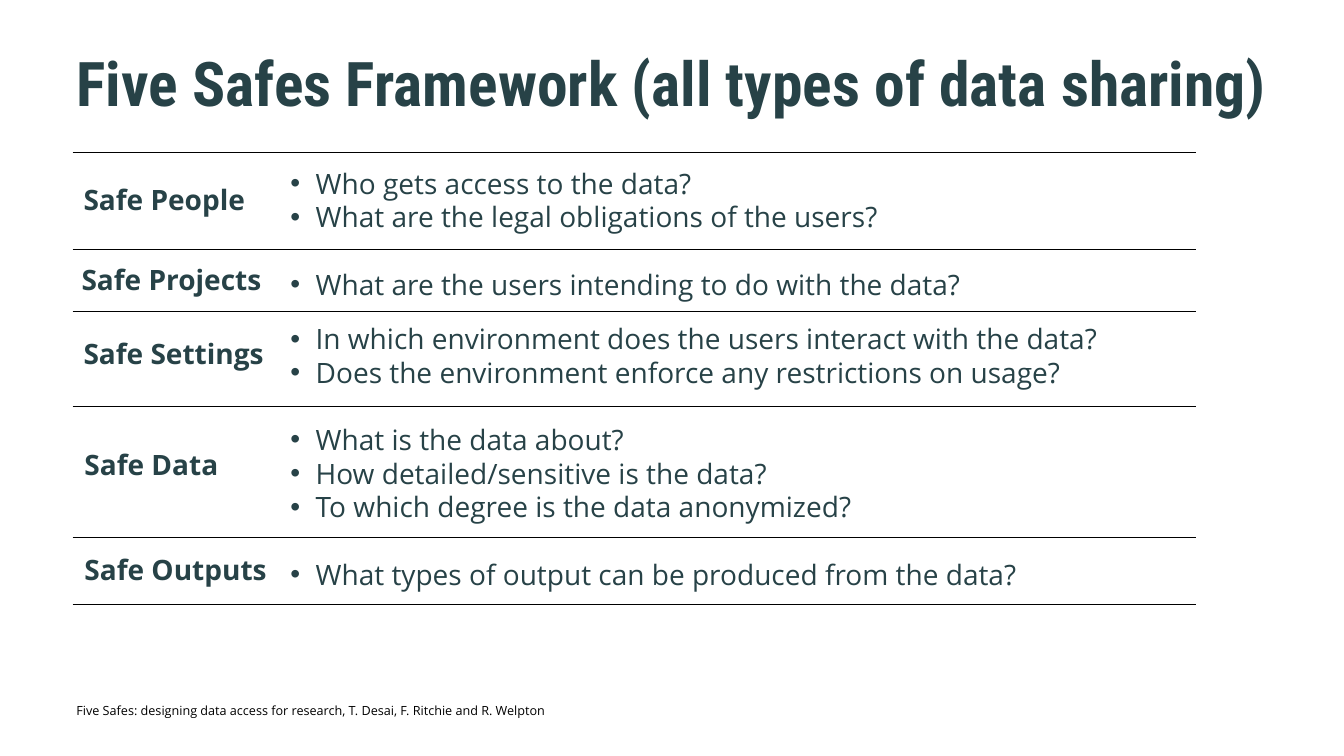
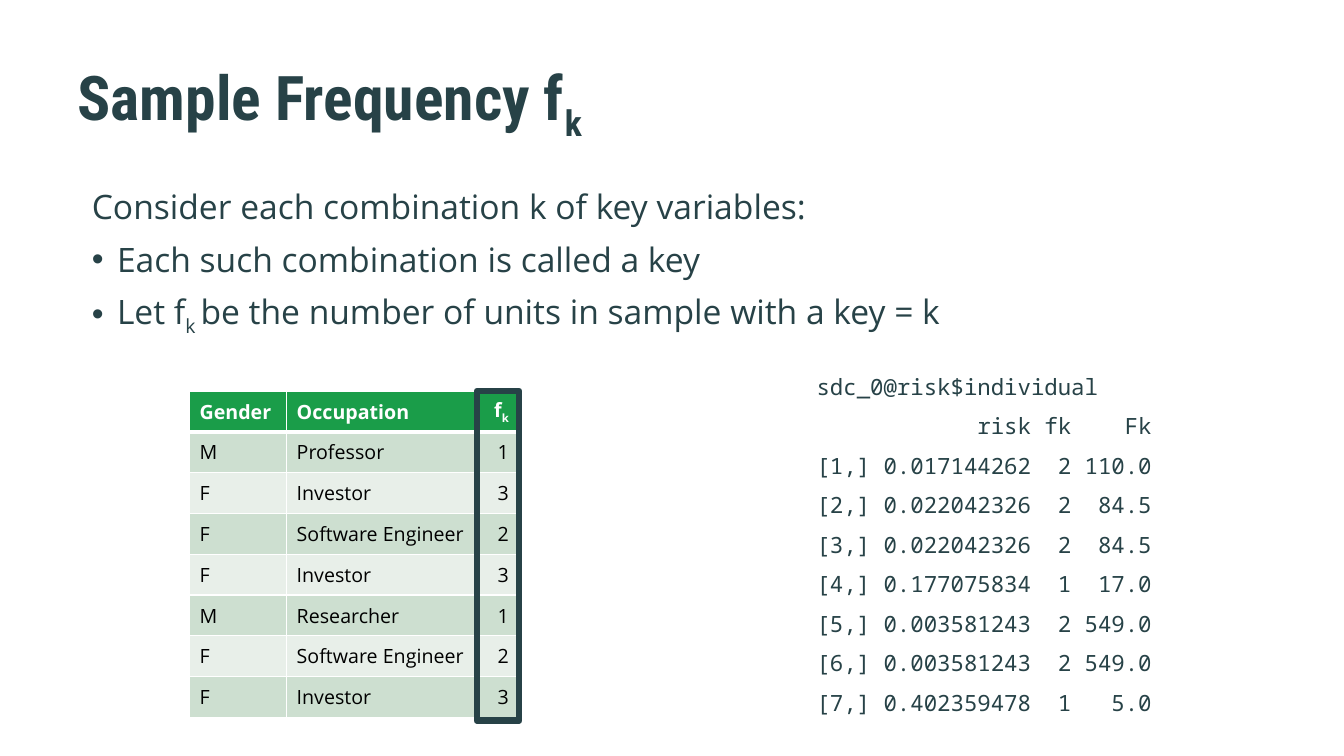
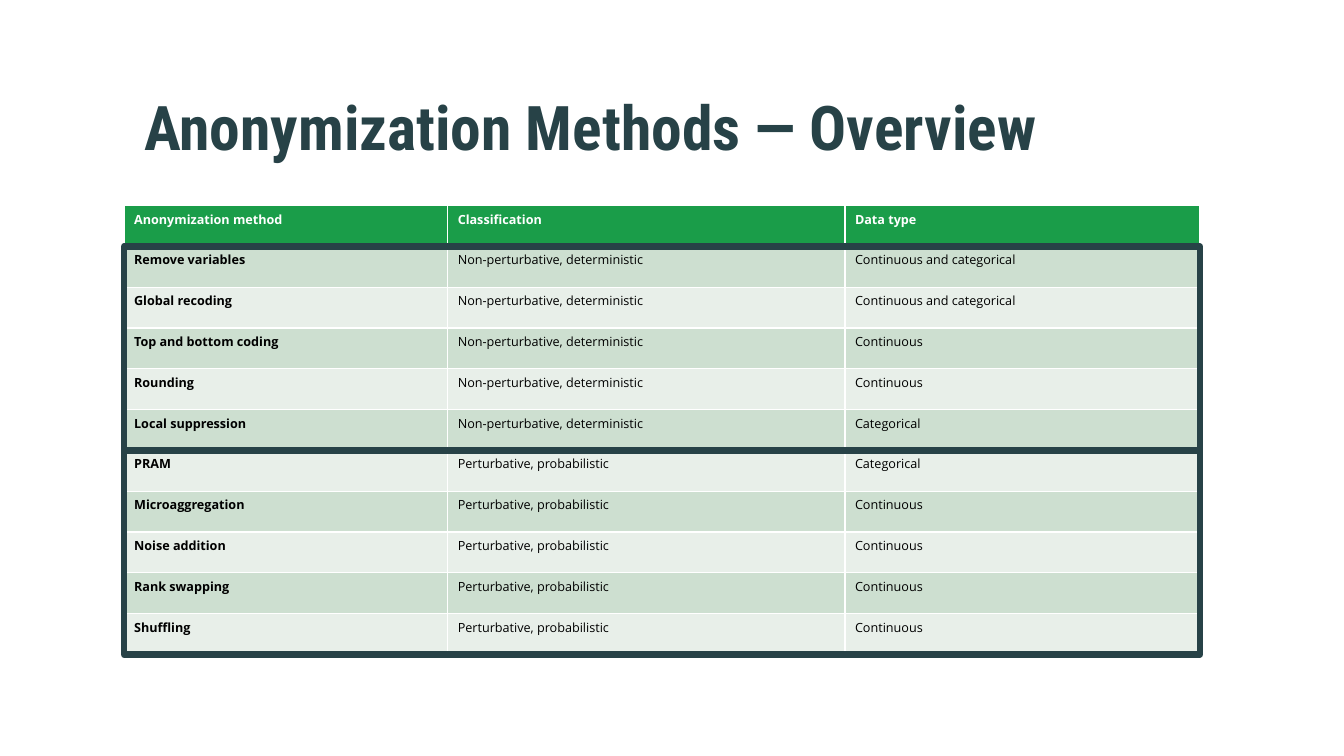
"""Build three slides on data sharing, sample frequencies and anonymization."""
from dataclasses import dataclass
from typing import NamedTuple

from lxml import etree
from pptx import Presentation
from pptx import util as u
from pptx.dml.color import RGBColor
from pptx.enum import shapes, text
from pptx.oxml import ns

WIDTH, HEIGHT = u.Inches(13.33), u.Inches(7.5)
INK, BLACK, WHITE = "274247", "000000", "FFFFFF"
GREEN, BAND_DARK, BAND_LIGHT = "1A9D49", "CDDFD0", "E8EFE9"
HEADING, SANS, MONO = "Roboto Condensed", "Open Sans", "Noto Sans Mono"
TITLE_AND_BODY, TITLE_ONLY = 1, 5
ROW_SHARE = 5.4


class Area(NamedTuple):
    left: float
    top: float
    width: float
    height: float


@dataclass(frozen=True)
class Style:
    font: str
    size: float
    color: str = INK
    bold: bool = False


@dataclass(frozen=True)
class Run:
    words: str
    subscript: bool = False


@dataclass(frozen=True)
class Line:
    runs: tuple[Run, ...]
    bullet: bool = False
    before: float = 0
    after: float = 0
    spacing: float = 1.0
    right: bool = False


@dataclass(frozen=True)
class Topic:
    label: str
    left: float
    top: float
    gap: float
    questions: tuple[str, ...]


@dataclass(frozen=True)
class Grid:
    left: float
    top: float
    columns: tuple[float, ...]
    size: float
    anchor: text.MSO_ANCHOR
    bold_first: bool = False
    right_last: bool = False


TITLE_STYLE = Style(HEADING, 44, bold=True)
LABEL_STYLE = Style(SANS, 20, bold=True)

RULES = (20.13, 32.93, 41.2, 53.73, 71.07, 80)
TOPICS = (
    Topic("Safe People", 5.48, 23.47, 0, (
        "Who gets access to the data?",
        "What are the legal obligations of the users?")),
    Topic("Safe Projects", 5.33, 34.13, 24, (
        "What are the users intending to do with the data?",)),
    Topic("Safe Settings", 5.48, 43.87, 15, (
        "In which environment does the users interact with the data?",
        "Does the environment enforce any restrictions on usage?")),
    Topic("Safe Data", 5.55, 58.53, 24, (
        "What is the data about?",
        "How detailed/sensitive is the data?",
        "To which degree is the data anonymized?")),
    Topic("Safe Outputs", 5.55, 72.4, 24, (
        "What types of output can be produced from the data?",)),
)

F_K = (Run("f"), Run("k", True))
PEOPLE = (
    ("M", "Professor", "1"),
    ("F", "Investor", "3"),
    ("F", "Software Engineer", "2"),
    ("F", "Investor", "3"),
    ("M", "Researcher", "1"),
    ("F", "Software Engineer", "2"),
    ("F", "Investor", "3"),
)
RISK_OUTPUT = (
    "sdc_0@risk$individual",
    "            risk fk    Fk",
    "[1,] 0.017144262  2 110.0",
    "[2,] 0.022042326  2  84.5",
    "[3,] 0.022042326  2  84.5",
    "[4,] 0.177075834  1  17.0",
    "[5,] 0.003581243  2 549.0",
    "[6,] 0.003581243  2 549.0",
    "[7,] 0.402359478  1   5.0",
)

METHOD_GROUPS = {
    "Non-perturbative, deterministic": (
        ("Remove variables", "Continuous and categorical"),
        ("Global recoding", "Continuous and categorical"),
        ("Top and bottom coding", "Continuous"),
        ("Rounding", "Continuous"),
        ("Local suppression", "Categorical")),
    "Perturbative, probabilistic": (
        ("PRAM", "Categorical"),
        ("Microaggregation", "Continuous"),
        ("Noise addition", "Continuous"),
        ("Rank swapping", "Continuous"),
        ("Shuffling", "Continuous")),
}


def rgb(color: str) -> RGBColor:
    """Turn a hex string into a colour."""
    return RGBColor.from_string(color)


def across(share: float) -> int:
    """Turn a percentage of the slide width into a length."""
    return round(WIDTH * share / 100)


def down(share: float) -> int:
    """Turn a percentage of the slide height into a length."""
    return round(HEIGHT * share / 100)


def place(area: Area) -> tuple[int, int, int, int]:
    """Turn an area in percentages into lengths."""
    return across(area.left), down(area.top), across(area.width), down(area.height)


def plain(words: str, **options) -> Line:
    """Make a line of one run."""
    return Line((Run(words),), **options)


def write(frame, lines: list[Line], style: Style) -> None:
    """Write lines into a text frame, run by run."""
    for index, line in enumerate(lines):
        paragraph = frame.paragraphs[0] if index == 0 else frame.add_paragraph()
        paragraph.alignment = text.PP_ALIGN.RIGHT if line.right else text.PP_ALIGN.LEFT
        paragraph.line_spacing = line.spacing
        paragraph.space_before = u.Pt(line.before)
        paragraph.space_after = u.Pt(line.after)
        properties = paragraph._p.get_or_add_pPr()
        indent = u.Inches(0.25) if line.bullet else 0
        properties.set("marL", str(indent))
        properties.set("indent", str(-indent))
        if line.bullet:
            etree.SubElement(properties, ns.qn("a:buChar"), char="•")
        else:
            etree.SubElement(properties, ns.qn("a:buNone"))
        for part in line.runs:
            run = paragraph.add_run()
            run.text = part.words
            run.font.name = style.font
            run.font.size = u.Pt(style.size)
            run.font.bold = style.bold
            run.font.color.rgb = rgb(style.color)
            if part.subscript:
                run._r.get_or_add_rPr().set("baseline", "-25000")


def fill_placeholder(shape, area: Area, lines: list[Line], style: Style) -> None:
    """Move a placeholder and write its lines."""
    shape.left, shape.top, shape.width, shape.height = place(area)
    shape.text_frame.word_wrap = True
    shape.text_frame.auto_size = text.MSO_AUTO_SIZE.NONE
    write(shape.text_frame, lines, style)


def add_slide(presentation, layout: int, area: Area, *title: Run):
    """Add a slide with its title."""
    slide = presentation.slides.add_slide(presentation.slide_layouts[layout])
    shape = slide.shapes.title
    fill_placeholder(shape, area, [Line(title, spacing=0.9)], TITLE_STYLE)
    shape.text_frame.vertical_anchor = text.MSO_ANCHOR.MIDDLE
    shape.text_frame.margin_top = 0
    return slide


def add_text(slide, area: Area, lines: list[Line], style: Style) -> None:
    """Add a wrapping text box."""
    shape = slide.shapes.add_textbox(*place(area))
    shape.text_frame.word_wrap = True
    write(shape.text_frame, lines, style)


def add_rule(slide, left: float, right: float, top: float) -> None:
    """Add a thin horizontal line."""
    line = slide.shapes.add_connector(
        shapes.MSO_CONNECTOR.STRAIGHT, across(left), down(top), across(right), down(top))
    line.line.color.rgb = rgb(BLACK)
    line.line.width = u.Pt(0.5)
    etree.SubElement(line._element.spPr, ns.qn("a:effectLst"))


def add_frame(slide, area: Area) -> None:
    """Add a heavy outline that marks part of a table."""
    shape = slide.shapes.add_shape(shapes.MSO_SHAPE.RECTANGLE, *place(area))
    shape.shadow.inherit = False
    shape.fill.background()
    shape.line.color.rgb = rgb(INK)
    shape.line.width = u.Pt(4.5)


def set_borders(cell, top: float, bottom: float) -> None:
    """Give a cell white borders."""
    properties = cell._tc.get_or_add_tcPr()
    widths = {"lnL": 1, "lnR": 1, "lnT": top, "lnB": bottom}
    for position, (side, width) in enumerate(widths.items()):
        border = etree.Element(ns.qn(f"a:{side}"), w=str(u.Pt(width)))
        fill = etree.SubElement(border, ns.qn("a:solidFill"))
        etree.SubElement(fill, ns.qn("a:srgbClr"), val=WHITE)
        properties.insert(position, border)


def add_table(slide, grid: Grid, rows: list[tuple[tuple[Run, ...], ...]]) -> None:
    """Add a banded table with a green header row."""
    area = Area(grid.left, grid.top, sum(grid.columns), ROW_SHARE * len(rows))
    table = slide.shapes.add_table(len(rows), len(grid.columns), *place(area)).table
    table.first_row = table.horz_banding = False
    for column, share in zip(table.columns, grid.columns):
        column.width = across(share)
    for row_index, row in enumerate(rows):
        table.rows[row_index].height = down(ROW_SHARE)
        header = row_index == 0
        band = BAND_DARK if row_index % 2 else BAND_LIGHT
        for column_index, runs in enumerate(row):
            cell = table.cell(row_index, column_index)
            cell.fill.solid()
            cell.fill.fore_color.rgb = rgb(GREEN if header else band)
            cell.vertical_anchor = grid.anchor
            set_borders(cell, 3 if row_index == 1 else 1, 3 if header else 1)
            bold = header or (grid.bold_first and column_index == 0)
            right = grid.right_last and column_index == len(row) - 1
            style = Style(SANS, grid.size, WHITE if header else BLACK, bold)
            write(cell.text_frame, [Line(runs, right=right)], style)


def as_runs(row: tuple[str, ...]) -> tuple[tuple[Run, ...], ...]:
    """Turn a row of words into a row of runs."""
    return tuple((Run(words),) for words in row)


def build_framework(presentation) -> None:
    """Build the slide on the five safes."""
    slide = add_slide(presentation, TITLE_AND_BODY, Area(4.95, 2.27, 91.15, 19.07),
                      Run("Five Safes Framework (all types of data sharing)"))
    questions = [
        plain(question, bullet=True, before=0 if index else topic.gap)
        for topic in TOPICS for index, question in enumerate(topic.questions)]
    fill_placeholder(slide.placeholders[1], Area(20.86, 21.33, 79.14, 67.47),
                     questions, Style(SANS, 20))
    for topic in TOPICS:
        add_text(slide, Area(topic.left, topic.top, 15.6, 5.87),
                 [plain(topic.label)], LABEL_STYLE)
    for top in RULES:
        add_rule(slide, 5.4, 88.97, top)
    add_text(slide, Area(4.95, 92.27, 38.26, 3.33), [plain(
        "Five Safes: designing data access for research, "
        "T. Desai, F. Ritchie and R. Welpton")], Style(SANS, 9, BLACK))


def build_frequency(presentation) -> None:
    """Build the slide on the sample frequency."""
    slide = add_slide(presentation, TITLE_AND_BODY, Area(5.03, 8, 89.95, 10.67),
                      Run("Sample Frequency f"), Run("k", True))
    definition = (Run("Let f"), Run("k ", True),
                  Run("be the number of units in sample with a key = k"))
    fill_placeholder(slide.placeholders[1], Area(6.08, 21.2, 73.22, 24.93), [
        plain("Consider each combination k of key variables:", spacing=1.5, after=9),
        plain("Each such combination is called a key", bullet=True, after=9),
        Line(definition, bullet=True, after=9)], Style(SANS, 24))
    grid = Grid(14.1, 51.73, (7.23, 14.25, 3.04), 14, text.MSO_ANCHOR.MIDDLE,
                right_last=True)
    header = (*as_runs(("Gender", "Occupation")), F_K)
    add_table(slide, grid, [header, *map(as_runs, PEOPLE)])
    add_frame(slide, Area(35.48, grid.top, 3.15, 43.6))
    add_text(slide, Area(60.02, 48.67, 30, 51.33),
             [plain(row, after=9) for row in RISK_OUTPUT], Style(MONO, 16))


def build_methods(presentation) -> None:
    """Build the slide on anonymization methods."""
    slide = add_slide(presentation, TITLE_ONLY, Area(9.98, 8, 79.22, 19.07),
                      Run("Anonymization Methods — Overview"))
    grid = Grid(9.23, 27.2, (24.08, 29.56, 26.41), 9, text.MSO_ANCHOR.TOP,
                bold_first=True)
    rows = [("Anonymization method", "Classification", "Data type")]
    rows += [(method, group, data) for group, methods in METHOD_GROUPS.items()
             for method, data in methods]
    add_table(slide, grid, [as_runs(row) for row in rows])
    top = grid.top + ROW_SHARE
    for methods in METHOD_GROUPS.values():
        height = ROW_SHARE * len(methods)
        add_frame(slide, Area(grid.left, top, sum(grid.columns), height))
        top += height


def main() -> None:
    """Build and save the presentation."""
    presentation = Presentation()
    presentation.slide_width, presentation.slide_height = WIDTH, HEIGHT
    build_framework(presentation)
    build_frequency(presentation)
    build_methods(presentation)
    presentation.save("out.pptx")


if __name__ == "__main__":
    main()
